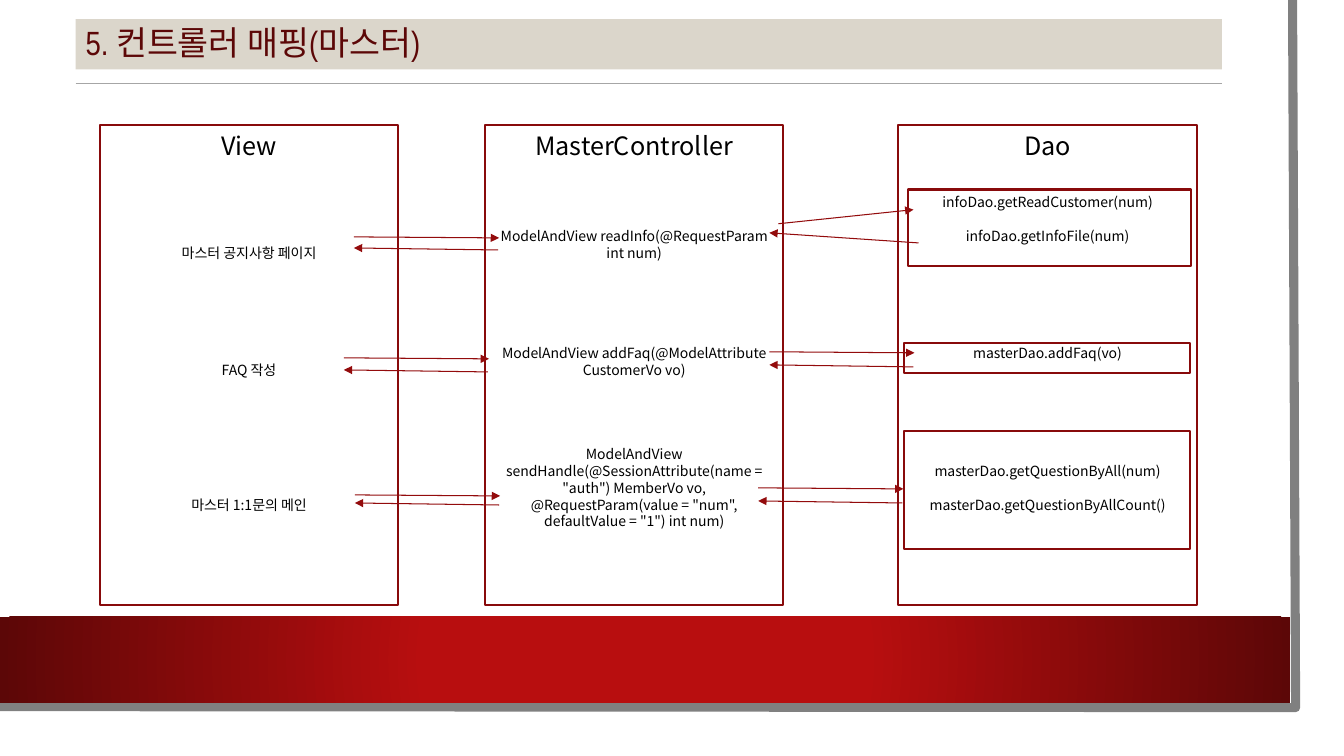
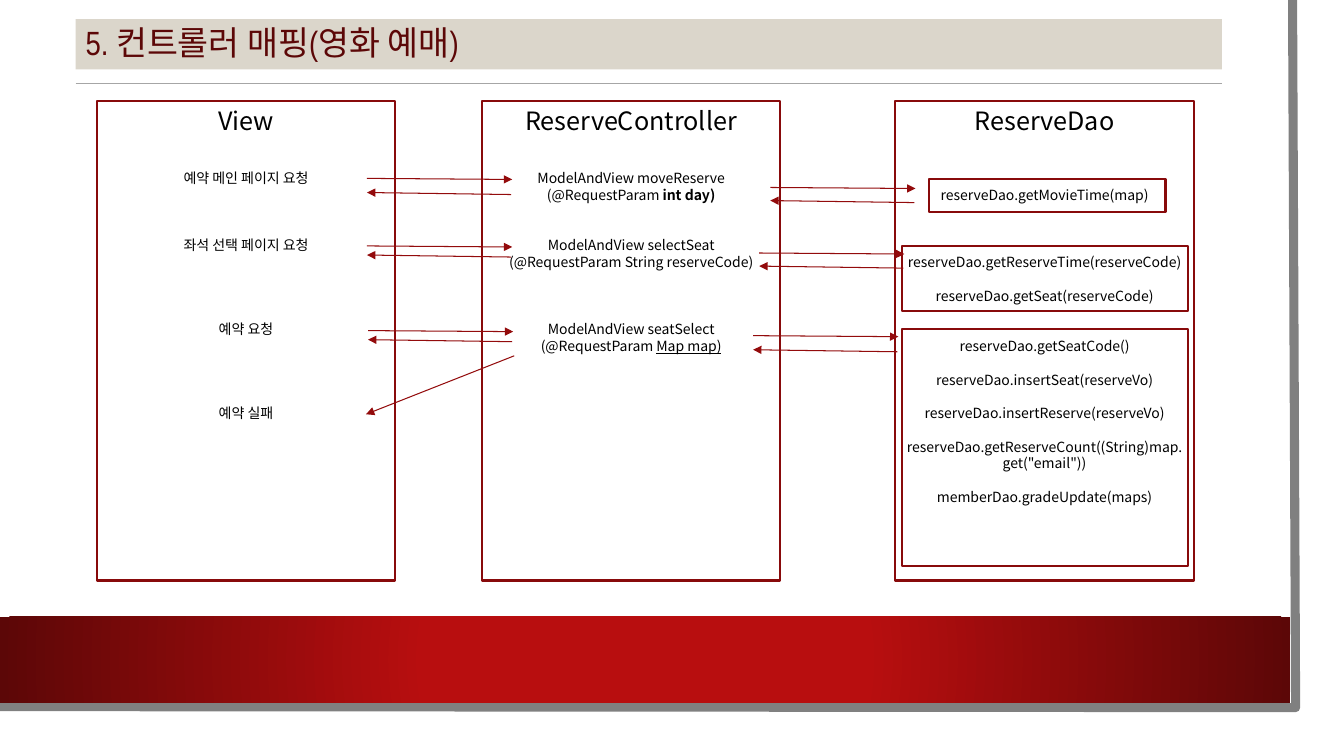
from dataclasses import dataclass
from typing import NamedTuple

from lxml.etree import SubElement
from pptx import Presentation
from pptx.dml.color import RGBColor
from pptx.enum.shapes import MSO_CONNECTOR, MSO_SHAPE
from pptx.enum.text import MSO_ANCHOR, PP_ALIGN
from pptx.oxml.ns import qn
from pptx.shapes.autoshape import Shape
from pptx.slide import Slide
from pptx.text.text import _Paragraph
from pptx.util import Emu, Pt

PX = 9144  # EMU per px, 100 px to the inch


@dataclass(frozen=True)
class Theme:
    title_font: str = "Arial Narrow"
    body_font: str = "Noto Sans CJK KR"
    title_size: int = 24
    heading_size: int = 18
    body_size: int = 10
    leading: float = 1.2
    ink: str = "000000"
    title_ink: str = "5C0707"
    title_band: str = "DBD6CB"
    rule: str = "A6A6A6"
    frame: str = "808080"
    box: str = "880A0B"
    arrow: str = "930B0C"
    band_centre: str = "B80E0F"
    band_edge: str = "5C0707"


THEME = Theme()


class Box(NamedTuple):
    left: int
    top: int
    width: int
    height: int


class Arrow(NamedTuple):
    x1: int
    y1: int
    x2: int
    y2: int


class Exchange(NamedTuple):
    """A request arrow and the reply below it."""
    left: int
    top: int
    gap: int = 13


class Entry(NamedTuple):
    """A line of text, set a number of lines below the one before."""
    skip: int
    text: str
    tail: str = ""
    tail_format: dict[str, bool] = {}


@dataclass(frozen=True)
class Column:
    heading: str
    entries: list[Entry]


@dataclass(frozen=True)
class Mapping:
    title: str
    left: int
    top: int
    columns: list[Column]
    dao_boxes: list[Box]
    exchanges: list[Exchange]
    arrows: list[Arrow]


COLUMN_OFFSETS = (0, 382, 792)
COLUMN_WIDTH, COLUMN_HEIGHT = 296, 476
TITLE_BAND = Box(75, 19, 1137, 50)
FOOTER_BAND = Box(0, 612, 1280, 85)
TITLE_RULE = Arrow(75, 83, 1212, 83)
FRAME_POINTS = [(1282, 0), (1285, 702), (-3, 701)]

MAPPINGS = [
    Mapping(
        "5. 컨트롤러 매핑(마스터)", 99, 124,
        [
            Column("View", [
                Entry(5, "마스터 공지사항 페이지"),
                Entry(6, "FAQ 작성"),
                Entry(7, "마스터 1:1문의 메인"),
            ]),
            Column("MasterController", [
                Entry(4, "ModelAndView readInfo(@RequestParam int num)"),
                Entry(5, "ModelAndView addFaq(@ModelAttribute CustomerVo vo)"),
                Entry(4, 'ModelAndView sendHandle(@SessionAttribute(name = "auth") MemberVo vo,'),
                Entry(0, '@RequestParam(value = "num", defaultValue = "1") int num)'),
            ]),
            Column("Dao", [
                Entry(2, "infoDao.getReadCustomer(num)"),
                Entry(1, "infoDao.getInfoFile(num)"),
                Entry(6, "masterDao.addFaq(vo)"),
                Entry(6, "masterDao.getQuestionByAll(num)"),
                Entry(1, "masterDao.getQuestionByAllCount()"),
            ]),
        ],
        [Box(901, 188, 280, 76), Box(897, 340, 283, 30), Box(897, 428, 283, 117)],
        [Exchange(351, 235, 11), Exchange(341, 355, 12), Exchange(352, 491, 8),
         Exchange(763, 349), Exchange(752, 484)],
        [Arrow(772, 222, 906, 208), Arrow(911, 241, 763, 231)],
    ),
    Mapping(
        "5. 컨트롤러 매핑(영화 예매)", 96, 100,
        [
            Column("View", [
                Entry(2, "예약 메인 페이지 요청"),
                Entry(3, "좌석 선택 페이지 요청"),
                Entry(4, "예약 요청"),
                Entry(4, "예약 실패"),
            ]),
            Column("ReserveController", [
                Entry(2, "ModelAndView moveReserve"),
                Entry(0, "(@RequestParam ", "int day)", {"bold": True}),
                Entry(2, "ModelAndView selectSeat"),
                Entry(0, "(@RequestParam String reserveCode)"),
                Entry(3, "ModelAndView seatSelect"),
                Entry(0, "(@RequestParam ", "Map map)", {"underline": True}),
            ]),
            Column("ReserveDao", [
                Entry(3, "reserveDao.getMovieTime(map)"),
                Entry(3, "reserveDao.getReserveTime(reserveCode)"),
                Entry(1, "reserveDao.getSeat(reserveCode)"),
                Entry(2, "reserveDao.getSeatCode()"),
                Entry(1, "reserveDao.insertSeat(reserveVo)"),
                Entry(1, "reserveDao.insertReserve(reserveVo)"),
                Entry(1, 'reserveDao.getReserveCount((String)map.get("email"))'),
                Entry(1, "memberDao.gradeUpdate(maps)"),
            ]),
        ],
        [Box(921, 178, 235, 32), Box(895, 244, 283, 65), Box(895, 326, 283, 236)],
        [Exchange(364, 177, 14), Exchange(364, 244, 9), Exchange(365, 328, 9),
         Exchange(764, 186), Exchange(753, 251), Exchange(747, 333, 14)],
        [Arrow(510, 353, 363, 411)],
    ),
]


def px(*lengths: int) -> list[Emu]:
    return [Emu(length * PX) for length in lengths]


def rgb(colour: str) -> RGBColor:
    return RGBColor.from_string(colour)


def add_run(paragraph: _Paragraph, text: str, size: int, font: str, colour: str,
            extra: dict[str, bool] | None = None) -> None:
    run = paragraph.add_run()
    run.text = text
    formats = {"size": Pt(size), "name": font, **(extra or {})}
    for attribute, value in formats.items():
        setattr(run.font, attribute, value)
    run.font.color.rgb = rgb(colour)
    # East Asian glyphs follow the body font
    SubElement(run.font._element, qn("a:ea")).set("typeface", THEME.body_font)


def add_rect(slide: Slide, box: Box, fill: str = "", line: str = "") -> Shape:
    rect = slide.shapes.add_shape(MSO_SHAPE.RECTANGLE, *px(*box))
    rect.shadow.inherit = False
    if fill:
        rect.fill.solid()
        rect.fill.fore_color.rgb = rgb(fill)
    else:
        rect.fill.background()
    if line:
        rect.line.color.rgb = rgb(line)
        rect.line.width = Pt(1.5)
    else:
        rect.line.fill.background()
    return rect


def add_line(slide: Slide, ends: Arrow, colour: str, head: bool = True) -> None:
    connector = slide.shapes.add_connector(MSO_CONNECTOR.STRAIGHT, *px(*ends))
    connector.line.color.rgb = rgb(colour)
    connector.line.width = Pt(0.75)
    properties = connector._element.spPr
    if head:
        SubElement(properties.find(qn("a:ln")), qn("a:tailEnd")).set("type", "triangle")
    SubElement(properties, qn("a:effectLst"))


def add_exchange(slide: Slide, exchange: Exchange) -> None:
    left, top, gap = exchange
    reply = top + gap
    add_line(slide, Arrow(left, top, left + 144, top + 1), THEME.arrow)
    add_line(slide, Arrow(left + 143, reply + 2, left, reply), THEME.arrow)


def add_backdrop(slide: Slide) -> None:
    # Grey edge at the right and bottom
    builder = slide.shapes.build_freeform(*FRAME_POINTS[0], scale=PX)
    builder.add_line_segments(FRAME_POINTS[1:], close=False)
    frame = builder.convert_to_shape()
    frame.shadow.inherit = False
    frame.fill.background()
    frame.line.color.rgb = rgb(THEME.frame)
    frame.line.width = Pt(6.5)

    # Red band, shaded outwards from its centre
    band = add_rect(slide, FOOTER_BAND)
    band.fill.gradient()
    shades = ((0.34, THEME.band_centre), (1, THEME.band_edge))
    for stop, (position, colour) in zip(band.fill.gradient_stops, shades):
        stop.position = position
        stop.color.rgb = rgb(colour)
    gradient = band._element.spPr.find(qn("a:gradFill"))
    gradient.remove(gradient.find(qn("a:lin")))
    circle = SubElement(gradient, qn("a:path"))
    circle.set("path", "circle")
    centre = SubElement(circle, qn("a:fillToRect"))
    for side in "ltrb":
        centre.set(side, "50000")


def add_title(slide: Slide, text: str) -> None:
    frame = add_rect(slide, TITLE_BAND, fill=THEME.title_band).text_frame
    frame.vertical_anchor = MSO_ANCHOR.MIDDLE
    title = frame.paragraphs[0]
    title.alignment = PP_ALIGN.LEFT
    title.line_spacing = 0.9
    add_run(title, text, THEME.title_size, THEME.title_font, THEME.title_ink)
    add_line(slide, TITLE_RULE, THEME.rule, head=False)


def add_column(slide: Slide, box: Box, column: Column) -> None:
    frame = add_rect(slide, box, line=THEME.box).text_frame
    frame.word_wrap = True
    frame.vertical_anchor = MSO_ANCHOR.TOP
    heading = frame.paragraphs[0]
    heading.alignment = PP_ALIGN.CENTER
    heading.line_spacing = Pt(THEME.heading_size * THEME.leading)
    add_run(heading, column.heading, THEME.heading_size, THEME.body_font, THEME.ink)

    pitch = THEME.body_size * THEME.leading
    for entry in column.entries:
        paragraph = frame.add_paragraph()
        formats = {"alignment": PP_ALIGN.CENTER, "line_spacing": Pt(pitch),
                   "space_before": Pt(pitch * entry.skip)}
        for attribute, value in formats.items():
            setattr(paragraph, attribute, value)
        add_run(paragraph, entry.text, THEME.body_size, THEME.body_font, THEME.ink)
        if entry.tail:
            add_run(paragraph, entry.tail, THEME.body_size, THEME.body_font,
                    THEME.ink, entry.tail_format)


def add_mapping(slide: Slide, mapping: Mapping) -> None:
    add_backdrop(slide)
    add_title(slide, mapping.title)
    for offset, column in zip(COLUMN_OFFSETS, mapping.columns):
        box = Box(mapping.left + offset, mapping.top, COLUMN_WIDTH, COLUMN_HEIGHT)
        add_column(slide, box, column)
    for box in mapping.dao_boxes:
        add_rect(slide, box, line=THEME.box)
    for exchange in mapping.exchanges:
        add_exchange(slide, exchange)
    for arrow in mapping.arrows:
        add_line(slide, arrow, THEME.arrow)


def main() -> None:
    deck = Presentation()
    deck.slide_width, deck.slide_height = px(1333, 750)
    blank = deck.slide_layouts[6]
    for mapping in MAPPINGS:
        add_mapping(deck.slides.add_slide(blank), mapping)
    deck.save("out.pptx")


if __name__ == "__main__":
    main()
